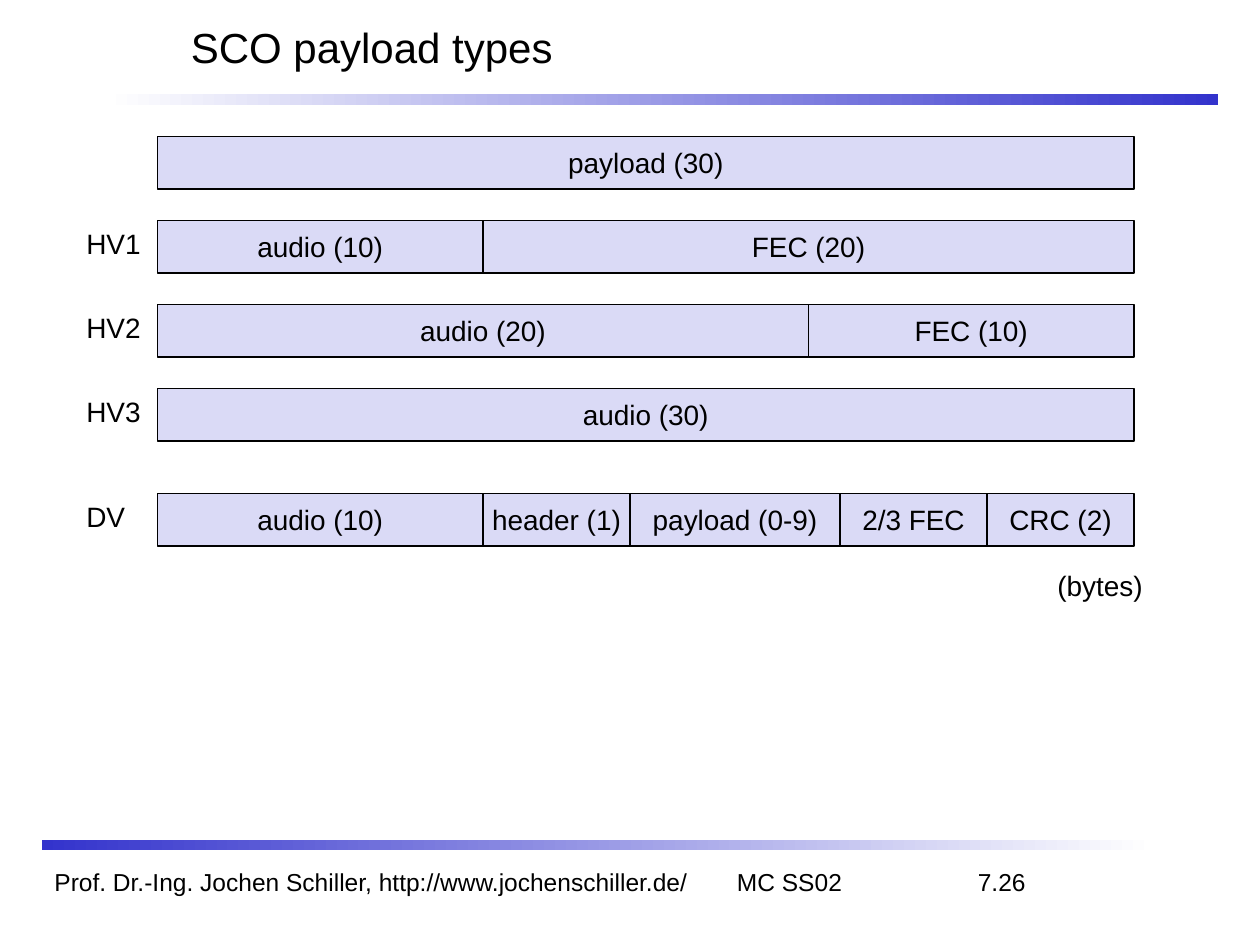
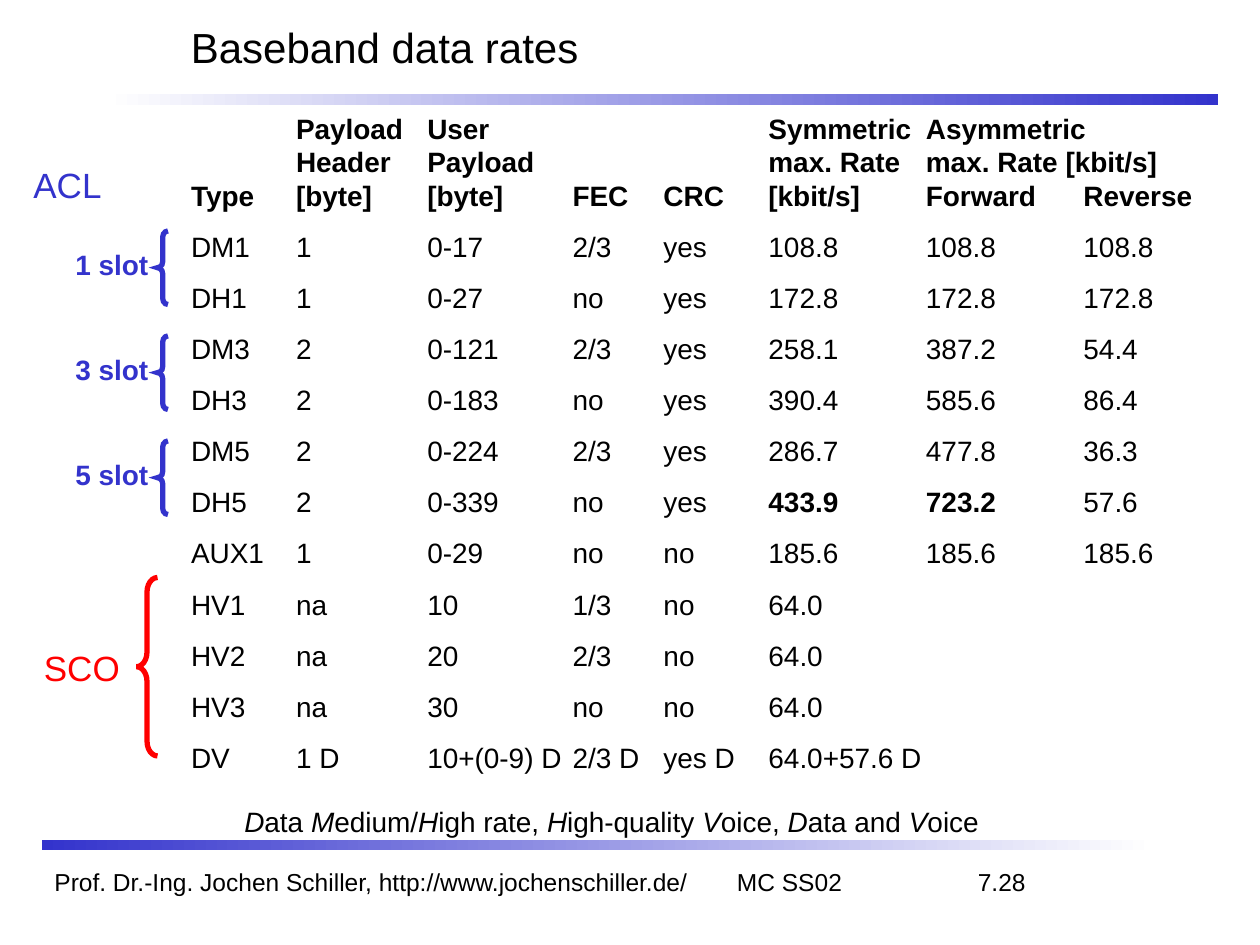
from dataclasses import dataclass
from itertools import accumulate

from pptx import Presentation
from pptx.dml.color import RGBColor as RGB
from pptx.enum.shapes import MSO_SHAPE as SHAPE
from pptx.enum.text import MSO_ANCHOR as ANCHOR, PP_ALIGN as ALIGN
from pptx.oxml.ns import qn
from pptx.util import Pt


@dataclass(frozen=True)
class Theme:
    font: str = "Arial"
    ink: RGB = RGB(0, 0, 0)
    paper: RGB = RGB(255, 255, 255)
    blue: RGB = RGB(0x33, 0x33, 0xCC)
    red: RGB = RGB(255, 0, 0)
    field: RGB = RGB(0xDA, 0xDA, 0xF6)
    title: int = 24
    link_type: int = 20
    body: int = 16
    footer: int = 14
    line: float = 19.2


T = Theme()

AUTHOR = "Prof. Dr.-Ing. Jochen Schiller, http://www.jochenschiller.de/"
COURSE = "MC SS02"

# label, gap above, fields as (text, width)
PACKETS = [
    ("", 0, [("payload (30)", 558)]),
    ("HV1", 18, [("audio (10)", 186), ("FEC (20)", 372)]),
    ("HV2", 18, [("audio (20)", 372), ("FEC (10)", 186)]),
    ("HV3", 18, [("audio (30)", 558)]),
    ("DV", 30, [("audio (10)", 186), ("header (1)", 84), ("payload (0-9)", 120),
                ("2/3 FEC", 84), ("CRC (2)", 84)]),
]

RATE_HEAD = [
    ["", "Payload\nHeader", "User\nPayload", "", "", "Symmetric\nmax. Rate",
     "Asymmetric\nmax. Rate [kbit/s]", ""],
    ["Type", "[byte]", "[byte]", "FEC", "CRC", "[kbit/s]", "Forward", "Reverse"],
]
RATES = [
    ["DM1", "1", "0-17", "2/3", "yes", "108.8", "108.8", "108.8"],
    ["DH1", "1", "0-27", "no", "yes", "172.8", "172.8", "172.8"],
    ["DM3", "2", "0-121", "2/3", "yes", "258.1", "387.2", "54.4"],
    ["DH3", "2", "0-183", "no", "yes", "390.4", "585.6", "86.4"],
    ["DM5", "2", "0-224", "2/3", "yes", "286.7", "477.8", "36.3"],
    ["DH5", "2", "0-339", "no", "yes", "433.9", "723.2", "57.6"],
    ["AUX1", "1", "0-29", "no", "no", "185.6", "185.6", "185.6"],
    ["HV1", "na", "10", "1/3", "no", "64.0", "", ""],
    ["HV2", "na", "20", "2/3", "no", "64.0", "", ""],
    ["HV3", "na", "30", "no", "no", "64.0", "", ""],
    ["DV", "1 D", "10+(0-9) D", "2/3 D", "yes D", "64.0+57.6 D", "", ""],
]
TOP_RATES = {"433.9", "723.2"}
RATE_COLUMNS = [60, 75, 83, 52, 60, 90, 90, 76]
SLOTS = ["1 slot", "3 slot", "5 slot"]
# text, italic
LEGEND = [("D", True), ("ata ", False), ("M", True), ("edium/", False),
          ("H", True), ("igh rate, ", False), ("H", True), ("igh-quality ", False),
          ("V", True), ("oice, ", False), ("D", True), ("ata and ", False),
          ("V", True), ("oice", False)]


def add_run(p, text, size=T.body, color=T.ink, bold=False, italic=False):
    r = p.add_run()
    r.text = text
    f = r.font
    f.name, f.size, f.bold, f.italic = T.font, Pt(size), bold, italic
    f.color.rgb = color


def add_text(s, box, text="", wrap=False, anchor=ANCHOR.TOP, **style):
    """Add a text box and return its first paragraph."""
    tf = s.shapes.add_textbox(*map(Pt, box)).text_frame
    tf.word_wrap, tf.vertical_anchor = wrap, anchor
    p = tf.paragraphs[0]
    if text:
        add_run(p, text, **style)
    return p


def add_shape(s, kind, box):
    sp = s.shapes.add_shape(kind, *map(Pt, box))
    sp.shadow.inherit = False
    return sp


def add_band(s, left, top, start, end):
    sp = add_shape(s, SHAPE.RECTANGLE, (left, top, 636, 6))
    sp.line.fill.background()
    sp.fill.gradient()
    sp.fill.gradient_angle = 0
    for stop, color in zip(sp.fill.gradient_stops, (start, end)):
        stop.color.rgb = color


def add_tabs(p, stops):
    tabs = p._p.get_or_add_pPr().makeelement(qn("a:tabLst"), {})
    for pos, side in stops:
        tabs.append(tabs.makeelement(qn("a:tab"), {"pos": str(Pt(pos)), "algn": side}))
    p._p.get_or_add_pPr().append(tabs)


def new_slide(prs, title, number):
    """Add a slide with the shared title, bands and footer."""
    s = prs.slides.add_slide(prs.slide_layouts[6])
    add_band(s, 60, 54, T.paper, T.blue)
    add_band(s, 24, 480, T.blue, T.paper)
    p = add_text(s, (24, 492, 630, 24), wrap=True)
    add_tabs(p, [(390, "l"), (555, "r")])
    add_run(p, "\t".join([AUTHOR, COURSE, number]), T.footer)
    add_text(s, (102, 0, 606, 53), title, True, ANCHOR.MIDDLE, size=T.title)
    return s


def add_field(s, box, text):
    sp = add_shape(s, SHAPE.RECTANGLE, box)
    sp.fill.solid()
    sp.fill.fore_color.rgb = T.field
    sp.line.color.rgb, sp.line.width = T.ink, Pt(0.75)
    tf = sp.text_frame
    tf.word_wrap, tf.vertical_anchor = False, ANCHOR.MIDDLE
    p = tf.paragraphs[0]
    p.alignment = ALIGN.CENTER
    add_run(p, text)


def add_brace(s, box, color, curve):
    """Add a left brace with a sharp tip."""
    sp = add_shape(s, SHAPE.LEFT_BRACE, box)
    sp.adjustments[0] = curve
    sp.fill.background()
    sp.line.color.rgb, sp.line.width = color, Pt(3)
    ln = sp.line._get_or_add_ln()
    ln.append(ln.makeelement(qn("a:miter"), {"lim": "800000"}))


def payload_slide(prs):
    s = new_slide(prs, "SCO payload types", "7.26")
    left, top, height = 90, 78, 30
    for label, gap, fields in PACKETS:
        top += gap
        if label:
            add_text(s, (42.3, top, 56, 26.6), label)
        starts = accumulate((w for _, w in fields), initial=left)
        for x, (text, width) in zip(starts, fields):
            add_field(s, (x, top, width, height), text)
        top += height
    add_text(s, (597.2, top + 9.3, 72, 26.6), "(bytes)")


def add_rate_table(s):
    rows = RATE_HEAD + RATES
    heights = [2 * T.line, T.line] + [T.line + 10] * len(RATES)
    box = (109.2, 63.6, sum(RATE_COLUMNS), sum(heights))
    table = s.shapes.add_table(len(rows), len(RATE_COLUMNS), *map(Pt, box)).table
    table.first_row = table.horz_banding = False
    style = table._tbl.tblPr.find(qn("a:tableStyleId"))
    style.text = "{2D5ABB26-0587-4C30-8999-92F81FD0307C}"  # no style, no grid
    for column, width in zip(table.columns, RATE_COLUMNS):
        column.width = Pt(width)
    for i, (row, height) in enumerate(zip(rows, heights)):
        table.rows[i].height = Pt(height)
        for j, text in enumerate(row):
            cell = table.cell(i, j)
            cell.fill.background()
            cell.margin_left = cell.margin_right = 0
            cell.margin_top = cell.margin_bottom = 0
            cell.vertical_anchor = ANCHOR.BOTTOM
            if not text:
                continue
            tf = cell.text_frame
            for k, line in enumerate(text.split("\n")):
                p = tf.add_paragraph() if k else tf.paragraphs[0]
                p.line_spacing = Pt(T.line)
                add_run(p, line, bold=i < len(RATE_HEAD) or text in TOP_RATES)
    table.cell(0, 6).merge(table.cell(0, 7))


def rates_slide(prs):
    s = new_slide(prs, "Baseband data rates", "7.28")
    add_rate_table(s)
    add_text(s, (12, 90, 66, 31.5), "ACL", size=T.link_type, color=T.blue)
    for i, slot in enumerate(SLOTS):
        top = 132 + 60 * i
        add_brace(s, (90, top, 6, 42), T.blue, 0.58)
        add_text(s, (36, top + 6, 66, 26.6), slot, color=T.blue, bold=True)
    add_text(s, (18, 366, 66, 31.5), "SCO", size=T.link_type, color=T.red)
    add_brace(s, (78, 330, 12, 102), T.red, 0.7)
    p = add_text(s, (132.5, 456, 450, 26.6))
    for text, italic in LEGEND:
        add_run(p, text, italic=italic)


def main():
    prs = Presentation()
    prs.slide_width, prs.slide_height = Pt(720), Pt(540)
    payload_slide(prs)
    rates_slide(prs)
    prs.save("out.pptx")


if __name__ == "__main__":
    main()
